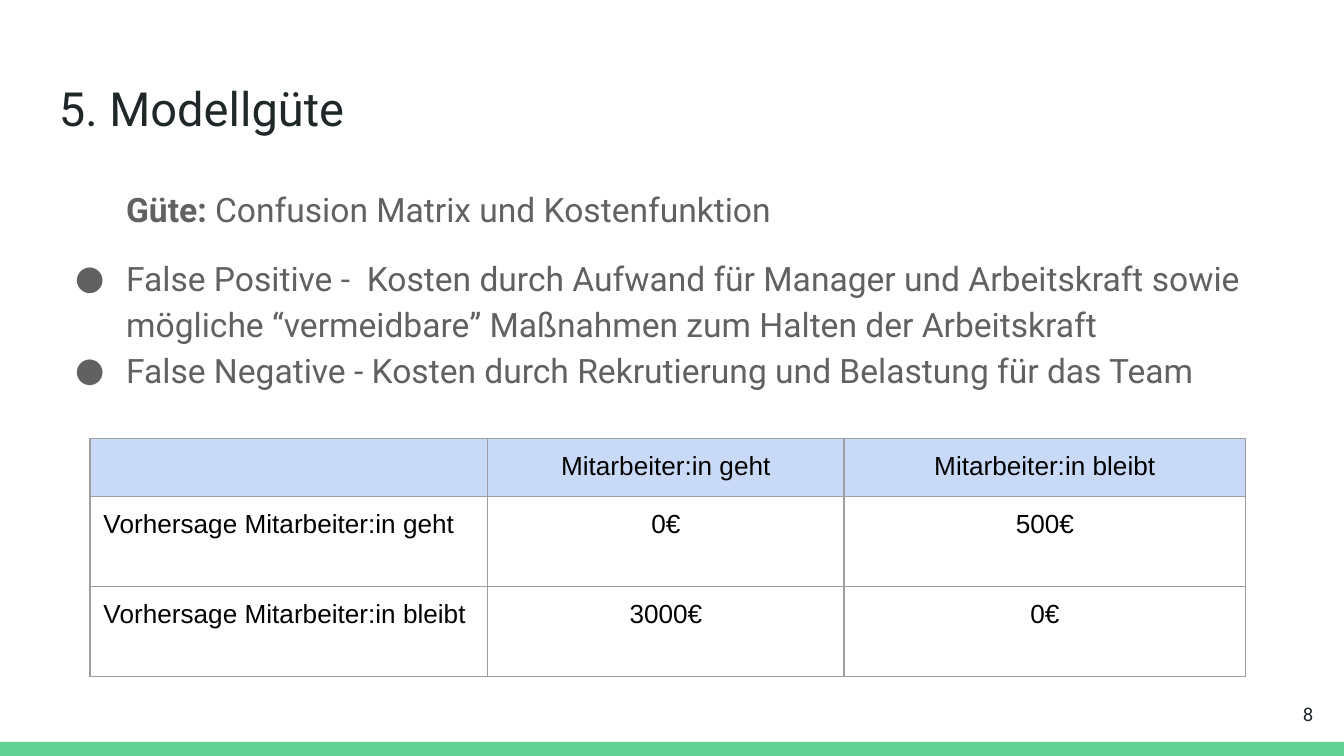
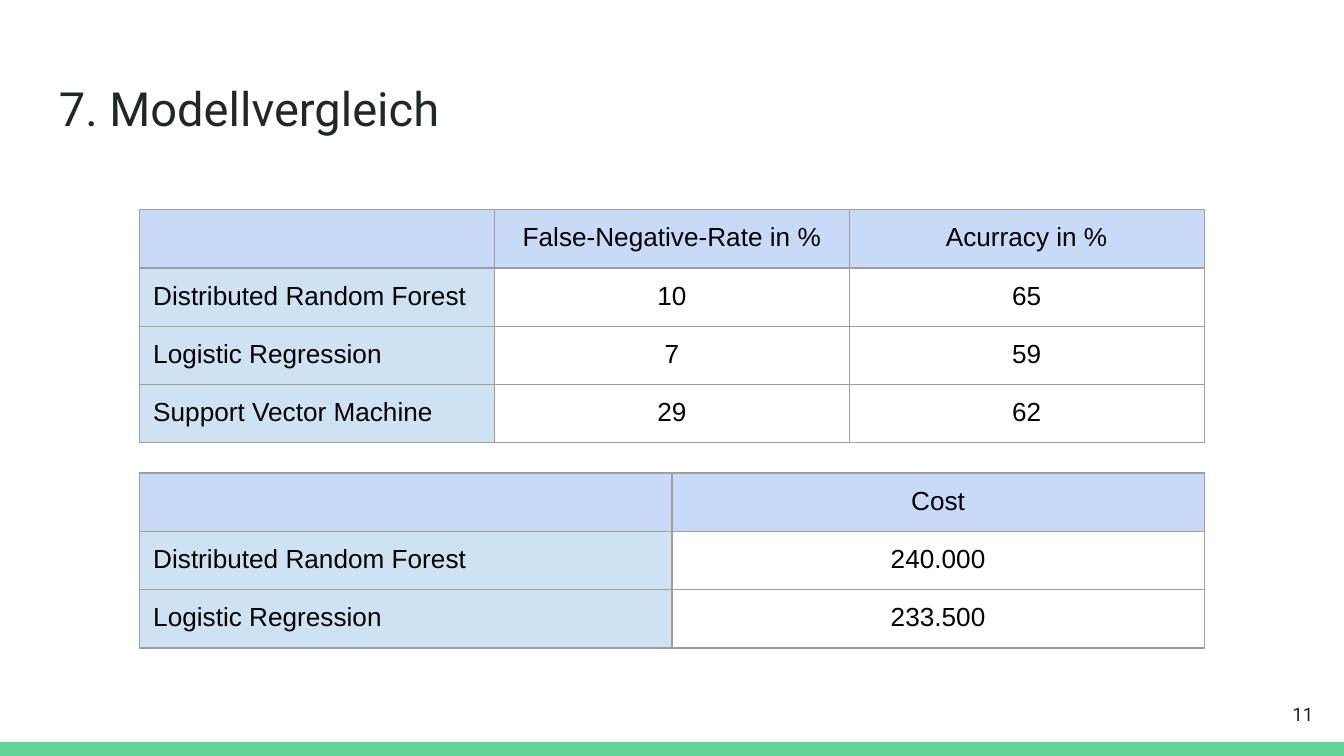
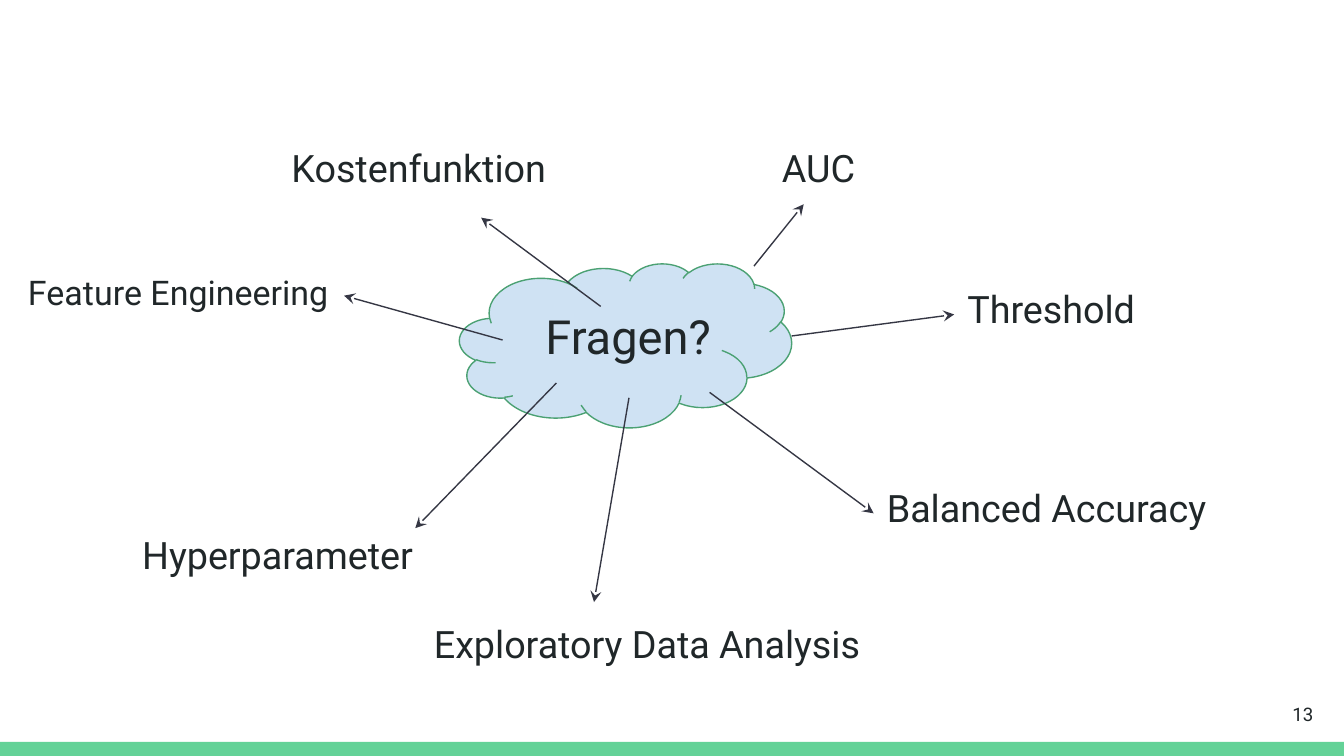
from lxml import etree
from pptx import Presentation
from pptx.dml.color import RGBColor
from pptx.enum.shapes import MSO_CONNECTOR, MSO_SHAPE
from pptx.enum.text import MSO_ANCHOR, PP_ALIGN
from pptx.oxml import parse_xml
from pptx.oxml.ns import nsdecls, qn
from pptx.util import Inches, Pt

LEFT, CENTER, RIGHT = PP_ALIGN.LEFT, PP_ALIGN.CENTER, PP_ALIGN.RIGHT
TOP, MIDDLE = MSO_ANCHOR.TOP, MSO_ANCHOR.MIDDLE
RECTANGLE, CLOUD = MSO_SHAPE.RECTANGLE, MSO_SHAPE.CLOUD
STRAIGHT = MSO_CONNECTOR.STRAIGHT

GREEN = RGBColor(0x63, 0xD2, 0x97)
DARK_GREEN = RGBColor(0x4B, 0xA1, 0x73)
DARK = RGBColor(0x20, 0x27, 0x29)
GRAY = RGBColor(0x61, 0x61, 0x61)
BLACK = RGBColor(0x00, 0x00, 0x00)
ARROW = RGBColor(0x35, 0x37, 0x44)
BORDER = RGBColor(0x9E, 0x9E, 0x9E)
HEADER_BLUE = RGBColor(0xC9, 0xDA, 0xF8)
LIGHT_BLUE = RGBColor(0xCF, 0xE2, 0xF3)

HEADING_FONT, TABLE_FONT = "Roboto", "Arial"
TITLE_SIZE = 25.2
INSET = Inches(0.1)


def add_text(slide, text, left, top, width, height=0.63, size=TITLE_SIZE,
             color=DARK, align=LEFT, anchor=TOP):
    """Add a text box with one paragraph per line and return its paragraphs."""
    box = slide.shapes.add_textbox(Inches(left), Inches(top), Inches(width), Inches(height))
    frame = box.text_frame
    frame.word_wrap = True
    frame.vertical_anchor = anchor
    frame.margin_left = frame.margin_right = frame.margin_top = frame.margin_bottom = INSET
    frame.text = text
    for paragraph in frame.paragraphs:
        paragraph.alignment = align
        paragraph.font.name = HEADING_FONT
        paragraph.font.size = Pt(size)
        paragraph.font.color.rgb = color
    return frame.paragraphs


def add_table(slide, rows, left, top, column_widths, row_heights, label_fill=None):
    """Add a bordered table whose first row is a header and first column holds labels."""
    table = slide.shapes.add_table(
        len(rows), len(column_widths), Inches(left), Inches(top),
        Inches(sum(column_widths)), Inches(sum(row_heights))).table
    table.first_row = table.horz_banding = False
    for column, width in zip(table.columns, column_widths):
        column.width = Inches(width)
    for row, height in zip(table.rows, row_heights):
        row.height = Inches(height)
    for row_index, values in enumerate(rows):
        for column_index, value in enumerate(values):
            cell = table.cell(row_index, column_index)
            cell.text = value
            cell.margin_left = cell.margin_right = INSET
            cell.margin_top = cell.margin_bottom = INSET
            paragraph = cell.text_frame.paragraphs[0]
            paragraph.alignment = CENTER if column_index else LEFT
            for run in paragraph.runs:
                run.font.name = TABLE_FONT
                run.font.size = Pt(14)
                run.font.color.rgb = BLACK
            if not value:
                end = etree.SubElement(paragraph._p, qn("a:endParaRPr"), sz="1400")
                etree.SubElement(end, qn("a:latin"), typeface=TABLE_FONT)
            properties = cell._tc.get_or_add_tcPr()
            for side in ("lnL", "lnR", "lnT", "lnB"):
                properties.append(parse_xml(
                    f'<a:{side} {nsdecls("a")} w="{Pt(0.75)}"><a:solidFill>'
                    f'<a:srgbClr val="{BORDER}"/></a:solidFill></a:{side}>'))
            fill = HEADER_BLUE if row_index == 0 else None if column_index else label_fill
            if fill is None:
                cell.fill.background()
            else:
                cell.fill.solid()
                cell.fill.fore_color.rgb = fill


presentation = Presentation()
presentation.slide_width = Inches(10)
presentation.slide_height = Inches(10) * 9 // 16

# Slides with the shared band, page number and title
for page, title in ((8, "5. Modellgüte"), (11, "7. Modellvergleich"), (13, None)):
    slide = presentation.slides.add_slide(presentation.slide_layouts[6])
    band = slide.shapes.add_shape(RECTANGLE, 0, Inches(5.52), Inches(10), Inches(0.11))
    band.shadow.inherit = False
    band.fill.solid()
    band.fill.fore_color.rgb = GREEN
    band.line.fill.background()
    if title:
        add_text(slide, title, 0.34, 0.49, 9.32)
    add_text(slide, str(page), 9.27, 5.1, 0.6, 0.43, 10, align=RIGHT, anchor=MIDDLE)

quality_slide, comparison_slide, questions_slide = presentation.slides

# Model quality: criteria and cost matrix
criteria = add_text(
    quality_slide,
    "\n".join((
        "",
        "False Positive -  Kosten durch Aufwand für Manager und Arbeitskraft sowie "
        "mögliche “vermeidbare” Maßnahmen zum Halten der Arbeitskraft",
        "False Negative - Kosten durch Rekrutierung und Belastung für das Team",
    )),
    0.34, 1.26, 9.32, 2.11, 18, GRAY)
lead = criteria[0]
lead_label = lead.add_run()
lead_label.text = "Güte:"
lead_label.font.bold = True
lead.add_run().text = " Confusion Matrix und Kostenfunktion"
for paragraph in criteria:
    paragraph.line_spacing = 1.15
    properties = paragraph._p.get_or_add_pPr()
    properties.set("marL", str(Inches(0.5)))
    properties.set("indent", "0")
for paragraph in criteria[1:]:
    properties = paragraph._p.get_or_add_pPr()
    properties.set("indent", str(Inches(-0.38)))
    defaults = properties.find(qn("a:defRPr"))
    for bullet_part in (
            f'<a:buClr {nsdecls("a")}><a:srgbClr val="{GRAY}"/></a:buClr>',
            f'<a:buSzPts {nsdecls("a")} val="1800"/>',
            f'<a:buFont {nsdecls("a")} typeface="{HEADING_FONT}"/>',
            f'<a:buChar {nsdecls("a")} char="●"/>'):
        defaults.addprevious(parse_xml(bullet_part))
criteria[1].space_before = Pt(12)

cost_matrix = (
    ("", "Mitarbeiter:in geht", "Mitarbeiter:in bleibt"),
    ("Vorhersage Mitarbeiter:in geht", "0€", "500€"),
    ("Vorhersage Mitarbeiter:in bleibt", "3000€", "0€"),
)
add_table(quality_slide, cost_matrix, 0.67, 3.26, (2.96, 2.65, 2.99), (0.43, 0.67, 0.67))

# Model comparison: error rates and costs
rates = (
    ("", "False-Negative-Rate in %", "Acurracy in %"),
    ("Distributed Random Forest", "10", "65"),
    ("Logistic Regression", "7", "59"),
    ("Support Vector Machine", "29", "62"),
)
costs = (
    ("", "Cost"),
    ("Distributed Random Forest", "240.000"),
    ("Logistic Regression", "233.500"),
)
for rows, top in ((rates, 1.56), (costs, 3.52)):
    columns = len(rows[0])
    add_table(comparison_slide, rows, 1.04, top, [7.92 / columns] * columns,
              [0.42] * len(rows), LIGHT_BLUE)

# Questions: cloud with arrows to the topics
cloud = questions_slide.shapes.add_shape(
    CLOUD, Inches(3.42), Inches(1.96), Inches(2.47), Inches(1.22))
cloud.shadow.inherit = False
cloud.fill.solid()
cloud.fill.fore_color.rgb = LIGHT_BLUE
cloud.line.color.rgb = DARK_GREEN
cloud.line.width = Pt(0.75)
add_text(questions_slide, "Fragen?", 3.96, 2.19, 1.66)

# Topic, left, top, width, text size, arrow start, arrow tip
topics = (
    ("Kostenfunktion", 2.07, 0.98, 2.25, 20.2, (4.47, 2.28), (3.58, 1.62)),
    ("AUC", 5.72, 0.98, 1.43, 20.2, (5.61, 1.98), (5.98, 1.52)),
    ("Threshold", 7.1, 2.03, 1.97, 20.2, (5.89, 2.5), (7.1, 2.34)),
    ("Balanced Accuracy", 6.5, 3.51, 2.65, 20.2, (5.28, 2.92), (6.5, 3.82)),
    ("Exploratory Data Analysis", 3.13, 4.52, 3.38, 20.2, (4.68, 2.96), (4.42, 4.48)),
    ("Hyperparameter", 0.96, 3.86, 2.65, 20.2, (4.14, 2.85), (3.09, 3.93)),
    ("Feature Engineering", 0.11, 1.92, 2.65, 18.2, (3.74, 2.53), (2.56, 2.2)),
)
for topic, left, top, width, size, start, tip in topics:
    add_text(questions_slide, topic, left, top, width, size=size)
    arrow = questions_slide.shapes.add_connector(
        STRAIGHT, *(Inches(value) for value in start + tip))
    arrow.line.color.rgb = ARROW
    arrow.line.width = Pt(0.75)
    etree.SubElement(arrow.line._get_or_add_ln(), qn("a:tailEnd"), type="stealth")
    etree.SubElement(arrow._element.spPr, qn("a:effectLst"))

presentation.save("out.pptx")
